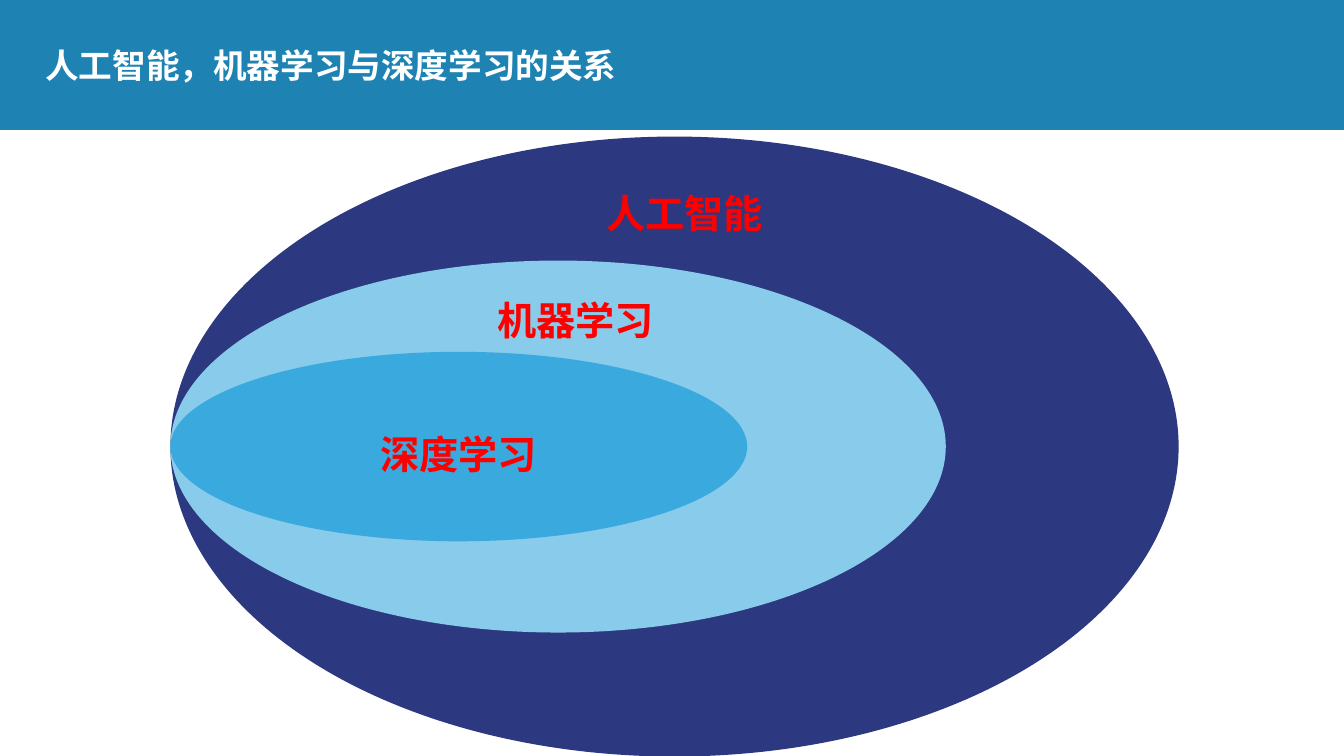
from pptx import Presentation
from pptx.dml.color import RGBColor
from pptx.enum.shapes import MSO_SHAPE
from pptx.enum.text import MSO_ANCHOR, PP_ALIGN
from pptx.oxml.ns import qn
from pptx.util import Inches
from pptx.util import Pt
from lxml.etree import SubElement

FONT = "Noto Sans CJK SC"
HEADER_BLUE = RGBColor(0x1E, 0x83, 0xB3)
WHITE = RGBColor(0xFF, 0xFF, 0xFF)
NAVY = RGBColor(0x2C, 0x38, 0x7F)
PALE_BLUE = RGBColor(0x88, 0xCB, 0xEB)
SKY_BLUE = RGBColor(0x39, 0xA9, 0xDE)
RED = RGBColor(0xFF, 0x00, 0x00)

SLIDE_WIDTH, SLIDE_HEIGHT = 13.33, 7.5
HEADER_HEIGHT = 1.29
NEST_LEFT, NEST_MIDDLE = 1.69, 4.43


def add_filled_shape(slide, preset, left, top, width, height, color):
    shape = slide.shapes.add_shape(
        preset, Inches(left), Inches(top), Inches(width), Inches(height))
    shape.shadow.inherit = False
    shape.fill.solid()
    shape.fill.fore_color.rgb = color
    shape.line.fill.background()
    return shape


def add_nested_ellipse(slide, width, height, color):
    """Add an ellipse that touches the shared leftmost point of the nest."""
    return add_filled_shape(slide, MSO_SHAPE.OVAL, NEST_LEFT,
                            NEST_MIDDLE - height / 2, width, height, color)


def add_text_box(slide, left, top, width, height):
    return slide.shapes.add_textbox(
        Inches(left), Inches(top), Inches(width), Inches(height))


def write_text(holder, text, size, color, align, line_spacing):
    frame = holder.text_frame
    frame.word_wrap = True
    frame.vertical_anchor = MSO_ANCHOR.MIDDLE
    paragraph = frame.paragraphs[0]
    paragraph.alignment = align
    paragraph.line_spacing = line_spacing
    run = paragraph.add_run()
    run.text = text
    font = run.font
    font.name, font.size, font.bold = FONT, Pt(size), True
    font.color.rgb = color
    east_asian = SubElement(run._r.get_or_add_rPr(), qn("a:ea"))
    east_asian.set("typeface", FONT)


def write_label(holder, text):
    write_text(holder, text, 28, RED, PP_ALIGN.CENTER, 1.3)


def main():
    presentation = Presentation()
    presentation.slide_width = Inches(SLIDE_WIDTH)
    presentation.slide_height = Inches(SLIDE_HEIGHT)
    slide = presentation.slides.add_slide(presentation.slide_layouts[6])
    slide.background.fill.solid()
    slide.background.fill.fore_color.rgb = HEADER_BLUE

    add_filled_shape(slide, MSO_SHAPE.RECTANGLE, 0, HEADER_HEIGHT,
                     SLIDE_WIDTH, SLIDE_HEIGHT - HEADER_HEIGHT, WHITE)
    title = add_text_box(slide, 0.35, 0.28, 9.03, 0.79)
    write_text(title, "人工智能，机器学习与深度学习的关系", 24, WHITE,
               PP_ALIGN.LEFT, 0.9)

    add_nested_ellipse(slide, 10, 6.15, NAVY)
    add_nested_ellipse(slide, 7.69, 3.69, PALE_BLUE)
    deep_learning = add_nested_ellipse(slide, 5.72, 1.88, SKY_BLUE)

    write_label(deep_learning, "深度学习")
    write_label(add_text_box(slide, 4.55, 1.5, 4.48, 1.08), "人工智能")
    write_label(add_text_box(slide, 3.56, 2.73, 4.3, 0.75), "机器学习")

    presentation.save("out.pptx")


if __name__ == "__main__":
    main()
